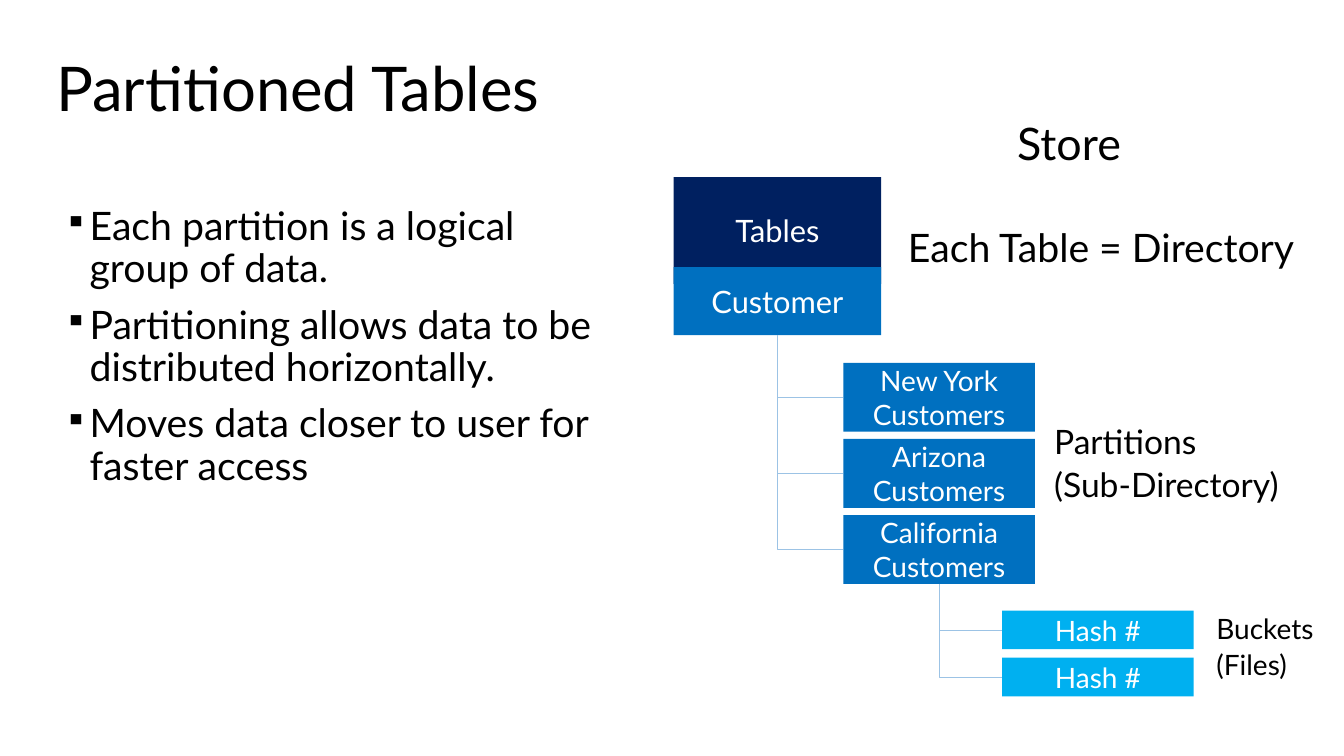
from dataclasses import dataclass
from lxml import etree
from pptx import Presentation
from pptx.dml.color import RGBColor
from pptx.enum.shapes import MSO_CONNECTOR, MSO_SHAPE
from pptx.enum.text import MSO_ANCHOR, MSO_AUTO_SIZE, PP_ALIGN
from pptx.oxml.ns import qn
from pptx.util import Inches, Pt

RECT = MSO_SHAPE.RECTANGLE
ELBOW = MSO_CONNECTOR.ELBOW
TOP, MIDDLE = MSO_ANCHOR.TOP, MSO_ANCHOR.MIDDLE
LEFT, CENTER = PP_ALIGN.LEFT, PP_ALIGN.CENTER
GROW = MSO_AUTO_SIZE.SHAPE_TO_FIT_TEXT
WEST, SOUTH = 1, 2


@dataclass(frozen=True)
class Theme:
    """Hold the colours, font and type sizes."""
    font: str = "Lato"
    ink: str = "000000"
    white: str = "FFFFFF"
    navy: str = "002060"
    blue: str = "0070C0"
    sky: str = "00B0F0"
    line: str = "9CC3E5"
    title: int = 44
    head: int = 32
    body: int = 28
    note: int = 24
    table: int = 22
    small: int = 20


def write(frame, text, *, font, size, color, align=LEFT, anchor=TOP,
          wrap=True, inset=(0.1, 0.05), space=0, lead=1.0, bullet=None):
    """Fill a text frame with one paragraph per line of text."""
    frame.word_wrap = wrap
    frame.vertical_anchor = anchor
    frame.margin_left = frame.margin_right = Inches(inset[0])
    frame.margin_top = frame.margin_bottom = Inches(inset[1])
    for i, line in enumerate(text.split("\n")):
        para = frame.add_paragraph() if i else frame.paragraphs[0]
        para.alignment = align
        para.line_spacing = lead
        para.space_before = Pt(space)
        run = para.add_run()
        run.text = line
        run.font.name = font
        run.font.size = Pt(size)
        run.font.color.rgb = RGBColor.from_string(color)
        if bullet:
            props = para._p.get_or_add_pPr()
            props.set("marL", str(Inches(0.25)))
            props.set("indent", str(-Inches(0.25)))
            etree.SubElement(props, qn("a:buSzPct")).set("val", "80000")
            etree.SubElement(props, qn("a:buChar")).set("char", bullet)


class Deck:
    """Draw styled elements on a grid of 160 columns by 90 rows."""

    def __init__(self, theme):
        """Open a blank slide."""
        self.theme = theme
        self.file = Presentation()
        self.file.slide_width = Inches(13.33)
        self.file.slide_height = Inches(7.5)
        self.slide = self.file.slides.add_slide(self.file.slide_layouts[6])

    def place(self, col, row, cols, rows):
        """Turn grid units into slide lengths."""
        wide = self.file.slide_width / 160
        high = self.file.slide_height / 90
        return [round(n) for n in (col * wide, row * high, cols * wide, rows * high)]

    def text(self, spot, text, size, **form):
        """Add a text box."""
        box = self.slide.shapes.add_textbox(*self.place(*spot))
        write(box.text_frame, text, font=self.theme.font, size=size,
              color=self.theme.ink, lead=0.9, **form)
        return box

    def label(self, spot, text, size, wrap=True):
        """Add a caption without margins."""
        box = self.text(spot, text, size, wrap=wrap, inset=(0, 0), space=size * 0.2)
        box.text_frame.auto_size = GROW

    def block(self, spot, text, size, fill):
        """Add a filled box with centred text."""
        box = self.slide.shapes.add_shape(RECT, *self.place(*spot))
        box.shadow.inherit = False
        box.fill.solid()
        box.fill.fore_color.rgb = RGBColor.from_string(fill)
        box.line.fill.background()
        write(box.text_frame, text, font=self.theme.font, size=size,
              color=self.theme.white, align=CENTER, anchor=MIDDLE)
        return box

    def stack(self, spot, step, names, fill):
        """Add evenly spaced blocks from the top down."""
        col, row, cols, rows = spot
        return [self.block((col, row + i * step, cols, rows), name,
                           self.theme.small, fill)
                for i, name in enumerate(names)]

    def branch(self, root, leaf):
        """Join the foot of one block to the left side of another."""
        x, y = root.left + root.width // 2, root.top + root.height
        wide, high = leaf.left - x, leaf.top + leaf.height // 2 - y
        link = self.slide.shapes.add_connector(ELBOW, x, y, x + wide, y + high)
        link.begin_connect(root, SOUTH)
        link.end_connect(leaf, WEST)
        link.left, link.top = x + (wide - high) // 2, y + (high - wide) // 2
        link.width, link.height = high, wide
        link.line.color.rgb = RGBColor.from_string(self.theme.line)
        link.line.width = Pt(0.5)
        props = link._element.spPr
        props.find(qn("a:prstGeom")).set("prst", "bentConnector2")
        frame = props.find(qn("a:xfrm"))
        frame.set("rot", str(270 * 60000))
        frame.set("flipH", "1")
        etree.SubElement(props, qn("a:effectLst"))


def main():
    """Build and save the slide."""
    look = Theme()
    deck = Deck(look)
    deck.text((5.5, 4.8, 136.6, 12.1), "Partitioned Tables", look.title, anchor=MIDDLE)
    deck.text((6.5, 24, 68, 57.1),
              "Each partition is a logical group of data.\n"
              "Partitioning allows data to be distributed horizontally.\n"
              "Moves data closer to user for faster access",
              look.body, space=10, bullet="▪")
    deck.label((121.1, 14.5, 14.6, 5.9), "Store", look.head, wrap=False)

    deck.block((80.2, 21.1, 24.7, 12.7), "Tables", look.table, look.navy)
    buyer = deck.block((80.2, 31.8, 24.7, 8.1), "Customer", look.table, look.blue)
    parts = deck.stack((100.4, 43.2, 22.8, 8.2), 9.06,
                       [f"{state}\nCustomers" for state in
                        ("New York", "Arizona", "California")], look.blue)
    files = deck.stack((119.3, 72.7, 22.8, 4.6), 5.6, ["Hash #"] * 2, look.sky)
    for root, leaves in ((buyer, parts), (parts[-1], files)):
        for leaf in leaves:
            deck.branch(root, leaf)

    deck.label((108.1, 27.2, 47.4, 5.2), "Each Table = Directory", look.body, wrap=False)
    deck.label((125.5, 50.6, 32.9, 9.7), "Partitions\n(Sub-Directory)", look.note)
    deck.label((144.8, 73.3, 19.4, 8), "Buckets\n(Files)", look.small)
    deck.file.save("out.pptx")


if __name__ == "__main__":
    main()
